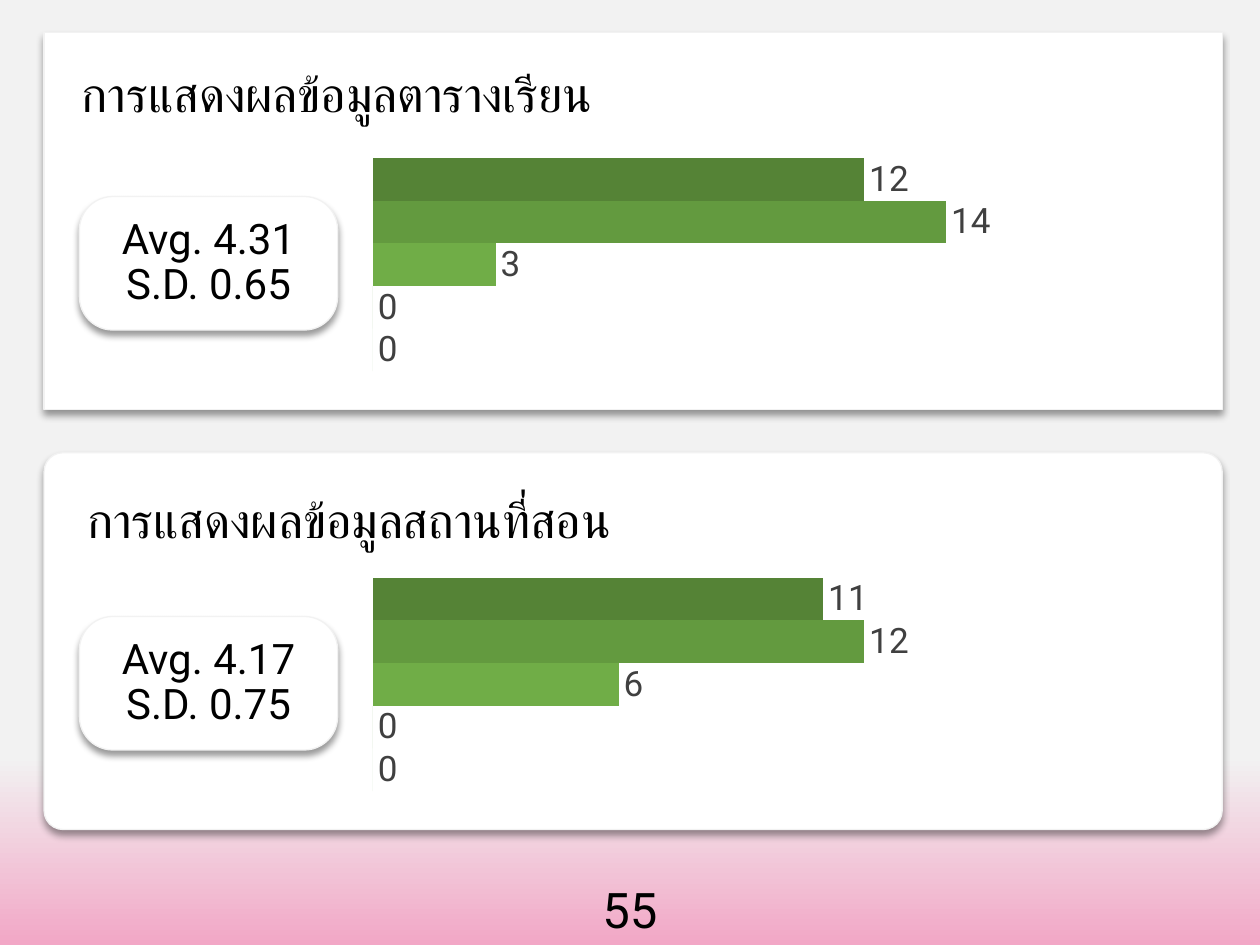
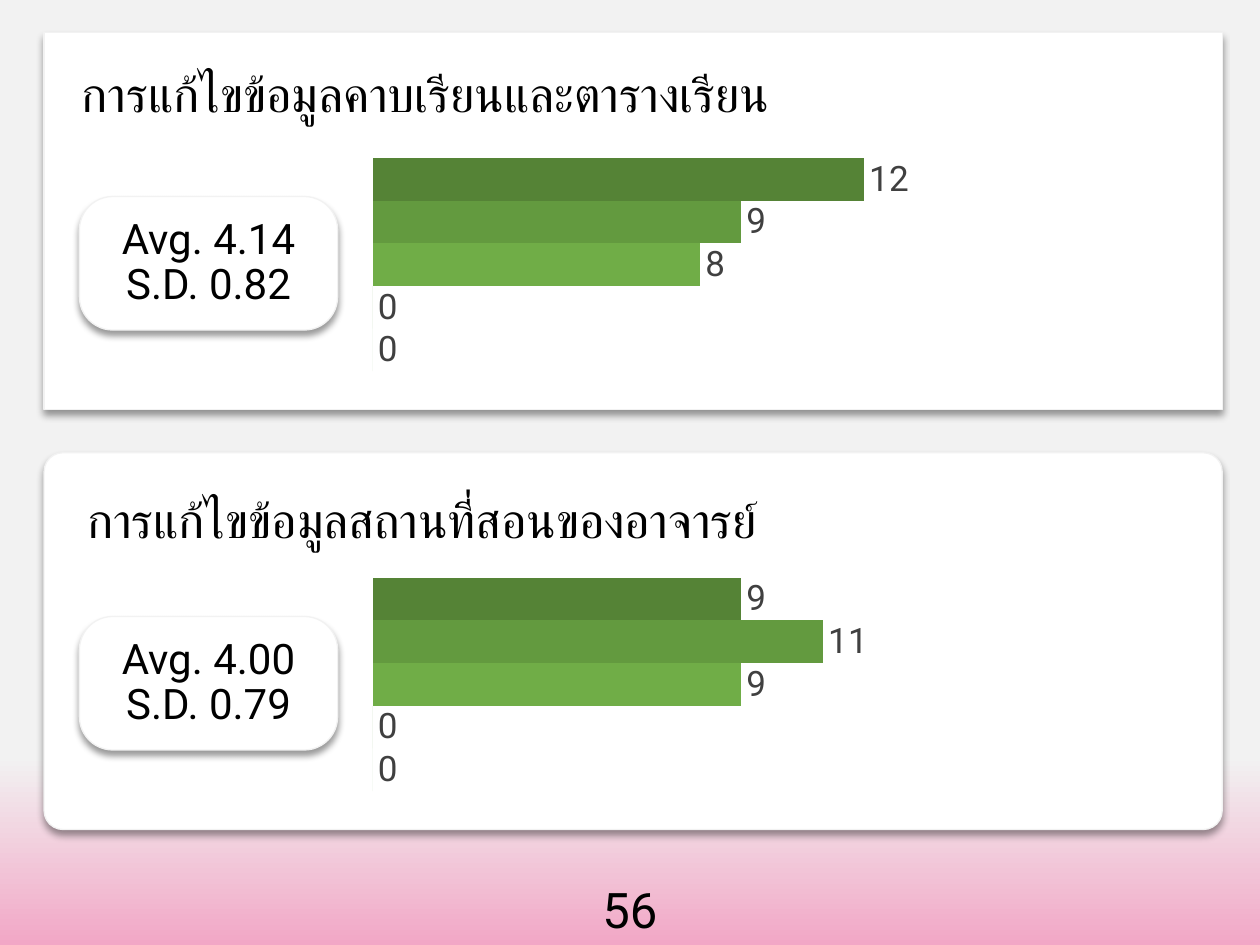
from dataclasses import dataclass

from lxml import etree
from pptx import Presentation, util as u
from pptx.chart import data
from pptx.dml.color import RGBColor as RGB
from pptx.enum import chart as kinds, shapes, text
from pptx.oxml.ns import qn


@dataclass(frozen=True)
class Theme:
    font: str = "Roboto"
    ink: str = "000000"
    label: str = "404040"
    card: str = "FFFFFF"
    edge: str = "F2F2F2"
    glow: str = "F2A7C6"
    bars: tuple = ("C3D8BB", "A1C490", "70AD47", "639A3F", "558336")
    head: int = 28
    stat: int = 24
    mark: int = 20


look = Theme()
deck = Presentation()
deck.slide_width, deck.slide_height = u.Inches(10), u.Inches(7.5)

# Areas are left, top, width, height in percent of the slide
PAGE = (43.33, 92.4, 13.33, 7.6)
CARD = (3.5, 3.47, 93.5, 39.87)
STATS = (6.3, 20.8, 20.5, 14.13)
CHART = (29.6, 12.67, 65, 30.67)
STEP = 44.44

PAGES = {
    "55": [
        ("การแสดงผลข้อมูลตารางเรียน", "4.31", "0.65", (0, 0, 3, 14, 12)),
        ("การแสดงผลข้อมูลสถานที่สอน", "4.17", "0.75", (0, 0, 6, 12, 11)),
    ],
    "56": [
        ("การแก้ไขข้อมูลคาบเรียนและตารางเรียน", "4.14", "0.82", (0, 0, 8, 9, 12)),
        ("การแก้ไขข้อมูลสถานที่สอนของอาจารย์", "4.00", "0.79", (0, 0, 9, 11, 9)),
    ],
}


def place(area, row=0):
    """Turn a percent area, moved down by whole rows, into slide lengths."""
    x, y, w, h = area
    wide, high = deck.slide_width / 100, deck.slide_height / 100
    return [int(n) for n in (x * wide, (y + row * STEP) * high, w * wide, h * high)]


def write(shape, words, size, align=text.PP_ALIGN.CENTER,
          anchor=text.MSO_ANCHOR.TOP, inset=None, space=None):
    frame = shape.text_frame
    frame.word_wrap = True
    frame.vertical_anchor = anchor
    if inset is not None:
        frame.margin_left = frame.margin_right = u.Inches(inset)
        frame.margin_top = frame.margin_bottom = u.Inches(inset)
    para = frame.paragraphs[0]
    para.text = words
    para.alignment = align
    para.line_spacing = space
    for run in para.runs:
        run.font.name = look.font
        run.font.size = u.Pt(size)
        run.font.color.rgb = RGB.from_string(look.ink)


for number, topics in PAGES.items():
    slide = deck.slides.add_slide(deck.slide_layouts[6])
    back = slide.background.fill
    back.gradient()
    back.gradient_angle = 270
    for stop, spot, tone in zip(back.gradient_stops, (0.8, 1), (look.edge, look.glow)):
        stop.position = spot
        stop.color.rgb = RGB.from_string(tone)

    write(slide.shapes.add_textbox(*place(PAGE)), number, look.head)

    for row, (topic, mean, spread, votes) in enumerate(topics):
        # The first card has square corners, the others are round
        panels = [
            (CARD, 0.05 if row else 0, topic,
             dict(size=look.head, align=text.PP_ALIGN.LEFT, inset=0.3)),
            (STATS, 0.25, f"Avg. {mean}\nS.D. {spread}",
             dict(size=look.stat, anchor=text.MSO_ANCHOR.MIDDLE, inset=0)),
        ]
        for area, curve, words, form in panels:
            kind = shapes.MSO_SHAPE.ROUNDED_RECTANGLE if curve else shapes.MSO_SHAPE.RECTANGLE
            panel = slide.shapes.add_shape(kind, *place(area, row))
            if curve:
                panel.adjustments[0] = curve
            panel.fill.solid()
            panel.fill.fore_color.rgb = RGB.from_string(look.card)
            panel.line.color.rgb = RGB.from_string(look.edge)
            panel.line.width = u.Pt(0.75)
            panel.shadow.inherit = False
            effects = panel.element.spPr.find(qn("a:effectLst"))
            shade = etree.SubElement(
                effects, qn("a:outerShdw"), blurRad=str(u.Pt(4)), dist=str(u.Pt(3)),
                dir="5400000", algn="t", rotWithShape="0")
            tint = etree.SubElement(shade, qn("a:srgbClr"), val=look.ink)
            etree.SubElement(tint, qn("a:alpha"), val="40000")
            write(panel, words, space=0.9, **form)

        votes_data = data.CategoryChartData()
        votes_data.categories = ["1"]
        for rank, count in enumerate(votes, 1):
            votes_data.add_series(f"Series {rank}", [count])
        chart = slide.shapes.add_chart(
            kinds.XL_CHART_TYPE.BAR_CLUSTERED, *place(CHART, row), votes_data).chart
        chart.has_legend = chart.has_title = False
        chart.font.name, chart.font.size = look.font, u.Pt(look.mark)
        chart.font.color.rgb = RGB.from_string(look.ink)
        chart.category_axis.visible = chart.value_axis.visible = False
        chart.value_axis.has_major_gridlines = False
        chart.value_axis.minimum_scale, chart.value_axis.maximum_scale = 0, 20

        plot = chart.plots[0]
        plot.gap_width, plot.overlap = 179, 0
        plot.vary_by_categories = False
        for series, tone in zip(plot.series, look.bars):
            series.format.fill.solid()
            series.format.fill.fore_color.rgb = RGB.from_string(tone)
            labels = series.data_labels
            labels.show_value = True
            labels.position = kinds.XL_LABEL_POSITION.OUTSIDE_END
            labels.font.name, labels.font.size = look.font, u.Pt(look.mark)
            labels.font.color.rgb = RGB.from_string(look.label)

        # Let the bars fill the whole chart frame
        zone = chart._chartSpace.chart.plotArea
        for old in zone.findall(qn("c:layout")):
            zone.remove(old)
        layout = etree.Element(qn("c:layout"))
        zone.insert(0, layout)
        manual = etree.SubElement(layout, qn("c:manualLayout"))
        for tag, value in (("layoutTarget", "inner"), ("xMode", "edge"), ("yMode", "edge"),
                           ("x", "0"), ("y", "0"), ("w", "1"), ("h", "1")):
            etree.SubElement(manual, qn(f"c:{tag}"), val=value)

deck.save("out.pptx")
